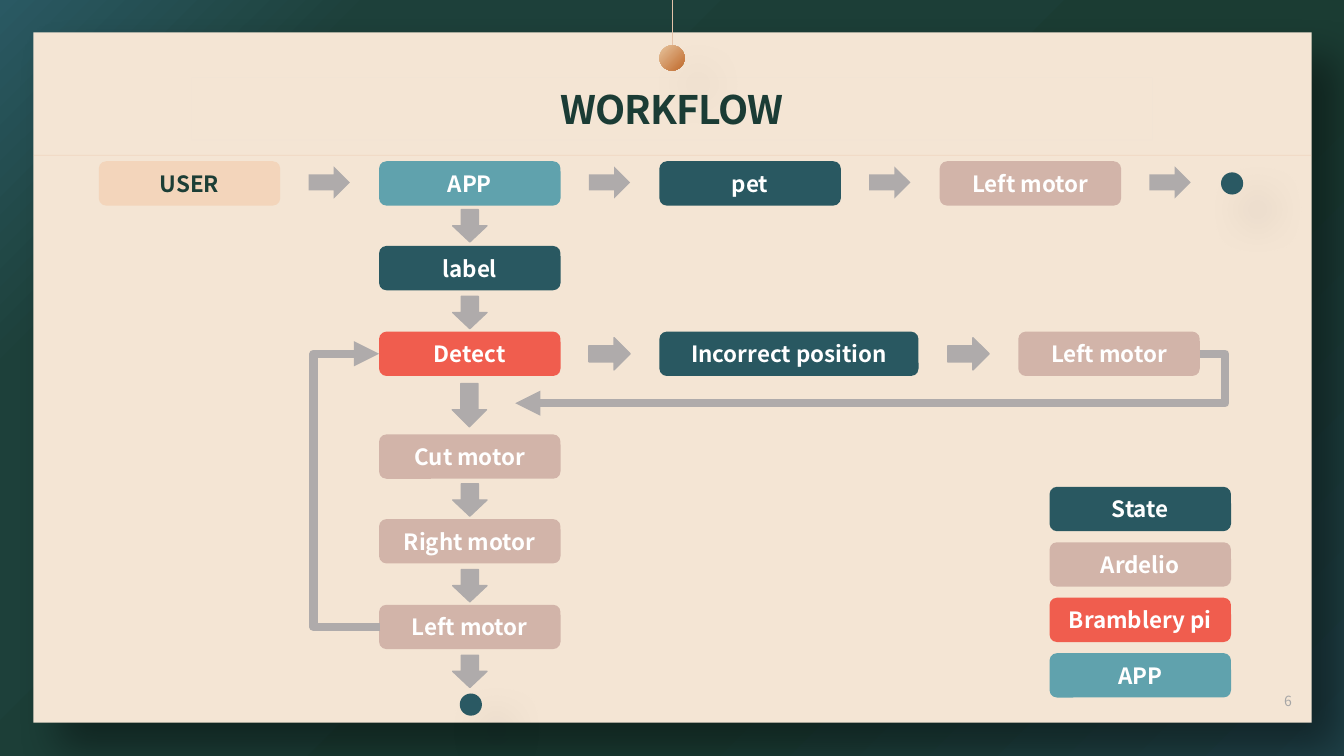
"""Build the workflow slide: a flow chart of boxes and arrows with a colour legend."""
from lxml import etree
from pptx import Presentation
from pptx.dml.color import RGBColor
from pptx.enum.shapes import MSO_CONNECTOR, MSO_SHAPE
from pptx.enum.text import MSO_ANCHOR, PP_ALIGN
from pptx.oxml import parse_xml
from pptx.oxml.ns import nsdecls, qn
from pptx.util import Inches, Pt

ROUND_RECT = MSO_SHAPE.ROUNDED_RECTANGLE
OVAL = MSO_SHAPE.OVAL
RIGHT_ARROW = MSO_SHAPE.RIGHT_ARROW
STRAIGHT = MSO_CONNECTOR.STRAIGHT
ELBOW = MSO_CONNECTOR.ELBOW
CENTER = PP_ALIGN.CENTER
MIDDLE = MSO_ANCHOR.MIDDLE

FONT = "Noto Sans CJK KR"
PAPER = RGBColor(0xF4, 0xE5, 0xD4)
RULE = RGBColor(0xE3, 0xAB, 0x83)
STRING = RGBColor(0xE4, 0xC2, 0xA9)
BEAD_LIGHT = RGBColor(0xE7, 0xC4, 0x9D)
BEAD_DARK = RGBColor(0xC1, 0x6A, 0x2C)
TITLE_GREEN = RGBColor(0x1B, 0x3C, 0x35)
USER_TEXT = RGBColor(0x1C, 0x3E, 0x36)
NUMBER_GREY = RGBColor(0xA6, 0xA6, 0xA6)
OUTLINE_GREY = RGBColor(0xD9, 0xD9, 0xD9)
WHITE = RGBColor(0xFF, 0xFF, 0xFF)
ARROW_GREY = RGBColor(0xAF, 0xAB, 0xAB)
END_TEAL = RGBColor(0x2A, 0x59, 0x63)
USER = RGBColor(0xF3, 0xD5, 0xBB)
APP = RGBColor(0x60, 0xA2, 0xAD)
STATE = RGBColor(0x29, 0x58, 0x61)
BOARD = RGBColor(0xD2, 0xB4, 0xA9)
COMPUTER = RGBColor(0xF0, 0x5D, 0x4E)
BACKDROP = [(0, RGBColor(0x1F, 0x41, 0x48)), (33, RGBColor(0x1B, 0x3C, 0x33)),
            (82, RGBColor(0x1D, 0x40, 0x3A)), (100, END_TEAL)]

BOX_W, BOX_H = 1.8, 0.44
COLUMNS = [0.98 + 2.78 * i for i in range(4)]
ROWS = [1.6, 2.44, 3.29, 4.31, 5.15, 6]


def paint_background(s):
    """Fill the slide background with a radial gradient."""
    stops = "".join(f'<a:gs pos="{pos * 1000}"><a:srgbClr val="{color}"/></a:gs>'
                    for pos, color in BACKDROP)
    s.background.fill.gradient()
    old = s.background._cSld.find(".//" + qn("a:gradFill"))
    old.getparent().replace(old, parse_xml(
        f'<a:gradFill {nsdecls("a")} rotWithShape="1"><a:gsLst>{stops}</a:gsLst>'
        '<a:path path="circle"><a:fillToRect l="100000" t="100000"/></a:path>'
        '<a:tileRect r="-100000" b="-100000"/></a:gradFill>'))


def add_shape(s, kind, x, y, w, h, fill):
    """Add a flat preset shape without outline."""
    sp = s.shapes.add_shape(kind, Inches(x), Inches(y), Inches(w), Inches(h))
    sp.fill.solid()
    sp.fill.fore_color.rgb = fill
    sp.line.fill.background()
    sp.shadow.inherit = False
    return sp


def add_shadow(sp, alpha):
    """Give a shape a soft shadow to the lower right."""
    sp._element.spPr.find(qn("a:effectLst")).append(parse_xml(
        f'<a:outerShdw {nsdecls("a")} blurRad="{Pt(30)}" dist="{Pt(26)}" dir="2700000" '
        'algn="tl" rotWithShape="0"><a:srgbClr val="000000">'
        f'<a:alpha val="{alpha * 1000}"/></a:srgbClr></a:outerShdw>'))


def set_line(sp, color, width, alpha=100):
    """Set line colour, width in points and opacity in percent."""
    sp.line.color.rgb = color
    sp.line.width = Pt(width)
    if alpha < 100:
        clr = sp.line._ln.find(".//" + qn("a:srgbClr"))
        etree.SubElement(clr, qn("a:alpha")).set("val", str(alpha * 1000))


def write(sp, text, size, color, bold=False, spacing=None):
    """Write one centred line of text into a shape."""
    tf = sp.text_frame
    tf.text = text
    tf.vertical_anchor = MIDDLE
    p = tf.paragraphs[0]
    p.alignment = CENTER
    r = p.runs[0]
    r.font.name = FONT
    r.font.size = Pt(size)
    r.font.bold = bold
    r.font.color.rgb = color
    rPr = r._r.get_or_add_rPr()
    etree.SubElement(rPr, qn("a:ea")).set("typeface", FONT)
    if spacing is not None:
        rPr.set("spc", str(round(spacing * 100)))
    return p


def clear_insets(tf):
    """Remove the inner margins of a text frame."""
    tf.margin_left = tf.margin_top = tf.margin_right = tf.margin_bottom = 0


def add_box(s, text, x, y, fill, color=WHITE, w=BOX_W):
    """Add a labelled rounded box."""
    write(add_shape(s, ROUND_RECT, x, y, w, BOX_H, fill), text, 16, color, bold=True)


def add_arrow(s, x, y, w=0.41, h=0.32, rotation=0, outlined=True):
    """Add a grey block arrow."""
    sp = add_shape(s, RIGHT_ARROW, x, y, w, h, ARROW_GREY)
    sp.rotation = rotation
    if outlined:
        set_line(sp, ARROW_GREY, 1)


def add_end(s, x, y):
    """Add the dot that ends a path."""
    add_shadow(add_shape(s, OVAL, x, y, 0.22, 0.22, END_TEAL), 17)


def add_line(s, kind, x1, y1, x2, y2, color, width, alpha=100):
    """Add a connector without shadow."""
    cx = s.shapes.add_connector(kind, Inches(x1), Inches(y1), Inches(x2), Inches(y2))
    set_line(cx, color, width, alpha)
    etree.SubElement(cx._element.spPr, qn("a:effectLst"))
    return cx


def add_return(s, x1, y1, x2, y2, turn_x):
    """Add a thick elbow arrow whose upright part stands at turn_x."""
    cx = add_line(s, ELBOW, x1, y1, x2, y2, ARROW_GREY, 6)
    etree.SubElement(cx.line._ln, qn("a:tailEnd")).set("type", "triangle")
    bend = round((turn_x - x1) / (x2 - x1) * 100000)
    guide = etree.SubElement(cx._element.spPr.find(qn("a:prstGeom")).get_or_add_avLst(),
                             qn("a:gd"))
    guide.set("name", "adj1")
    guide.set("fmla", f"val {bend}")


def add_frame(s):
    """Add the paper panel, the hanging bead, the title and the page number."""
    panel = add_shape(s, ROUND_RECT, 0.33, 0.32, 12.68, 6.85, PAPER)
    panel.adjustments[0] = 0
    add_shadow(panel, 40)
    add_line(s, STRAIGHT, 0.33, 1.54, 13.01, 1.54, RULE, 0.5, alpha=24)
    bead = add_shape(s, OVAL, 6.54, 0.45, 0.25, 0.25, BEAD_LIGHT)
    bead.fill.gradient()
    bead.fill.gradient_angle = 315
    for stop, color in zip(bead.fill.gradient_stops, (BEAD_LIGHT, BEAD_DARK)):
        stop.color.rgb = color
    add_shadow(bead, 8)
    add_line(s, STRAIGHT, 6.67, 0.45, 6.67, 0, STRING, 1)

    title = s.shapes.title
    title.left, title.top, title.width, title.height = map(Inches, (1.9, 0.77, 9.53, 0.62))
    clear_insets(title.text_frame)
    set_line(title, OUTLINE_GREY, 0.25, alpha=5)
    write(title, "WORKFLOW", 28, TITLE_GREEN, bold=True, spacing=-0.6)
    s.shapes._spTree.append(title._element)

    number = s.shapes.add_textbox(Inches(12.46), Inches(6.83), Inches(0.63), Inches(0.22))
    number.text_frame.word_wrap = True
    clear_insets(number.text_frame)
    write(number, "6", 10, NUMBER_GREY, spacing=-0.6).line_spacing = 1.2


def main():
    """Build and save the slide."""
    prs = Presentation()
    prs.slide_width, prs.slide_height = Inches(13.33), Inches(7.5)
    s = prs.slides.add_slide(prs.slide_layouts[5])
    paint_background(s)
    add_frame(s)

    top_row = [("USER", USER, USER_TEXT), ("APP", APP, WHITE),
               ("pet", STATE, WHITE), ("Left motor", BOARD, WHITE)]
    for x, (text, fill, color) in zip(COLUMNS, top_row):
        add_box(s, text, x, ROWS[0], fill, color)
        add_arrow(s, x + 2.08, 1.65, outlined=False)
    add_end(s, 12.11, 1.71)

    steps = [("label", STATE), ("Detect", COMPUTER), ("Cut motor", BOARD),
             ("Right motor", BOARD), ("Left motor", BOARD)]
    for y, (text, fill) in zip(ROWS[1:], steps):
        add_box(s, text, COLUMNS[1], y, fill)
    for y in (2.07, 2.93, 4.79, 5.64, 6.49):
        add_arrow(s, 4.5, y, 0.32, 0.34, rotation=90)
    add_arrow(s, 4.44, 3.85, 0.43, 0.34, rotation=90)
    add_end(s, 4.56, 6.88)

    add_box(s, "Incorrect position", COLUMNS[2], ROWS[2], STATE, w=2.57)
    add_box(s, "Left motor", 10.1, ROWS[2], BOARD)
    for x in (5.84, 9.4):
        add_arrow(s, x, 3.35)
    add_return(s, 11.9, 3.51, 5.11, 4, turn_x=12.15)
    add_return(s, 3.77, 6.22, 3.76, 3.51, turn_x=3.1)

    legend = [("State", STATE), ("Ardelio", BOARD), ("Bramblery pi", COMPUTER), ("APP", APP)]
    for i, (text, fill) in enumerate(legend):
        add_box(s, text, 10.41, 4.83 + 0.55 * i, fill)
    prs.save("out.pptx")


if __name__ == "__main__":
    main()
